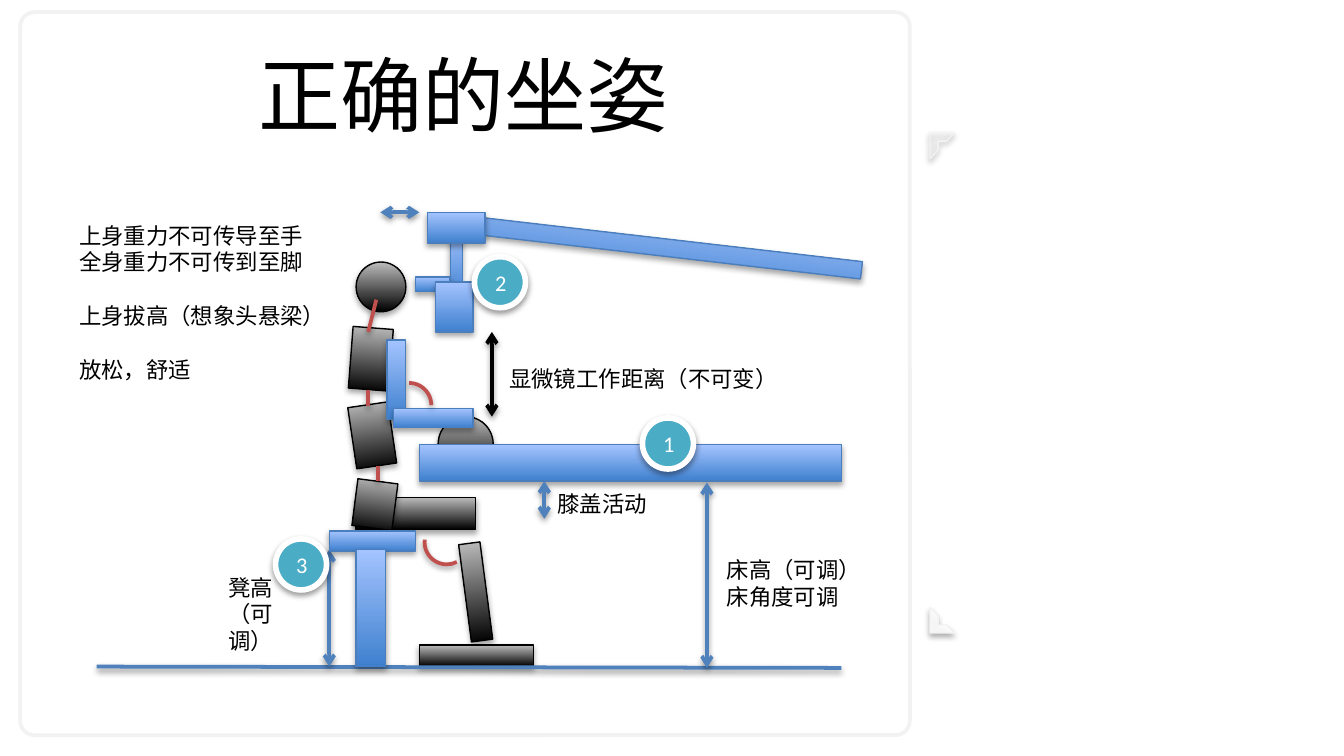
"""Build a slide that explains the correct sitting posture at an operating microscope."""
import pptx
import pptx.dml.color
import pptx.enum.dml
import pptx.enum.shapes
import pptx.enum.text
import pptx.oxml
import pptx.oxml.ns
import pptx.util
import lxml.etree

COLORS = {
    "white": "FFFFFF", "black": "000000", "frame": "F2F2F2", "badge": "4BACC6",
    "blue_low": "3F80CE", "blue_high": "A4C4FF", "blue_edge": "4B7EBC",
    "body_high": "BDBDBD", "blue": "4F81BD", "red": "C0504D",
}
GRADIENTS = {
    "equipment": ("blue_low", "blue_high", "blue_edge"),
    "body": ("black", "body_high", "black"),
}
FONT = "Calibri"
WIDTH, COLUMNS = 10, 100
HEIGHT, ROWS = WIDTH * 9 / 16, COLUMNS * 9 / 16
ARC_UNIT = 0.6

TITLE = ("正确的坐姿", (3.2, 2.3, 62.6, 9.4))
CORNERS = [((69.2, 45.2, 1.8, 1.9), 88, True), ((69.2, 9.9, 1.8, 1.9), 23, False)]

# name, geometry, style, grid box, rotation or arrows, arc angles or joined parts
SCENE = [
    ("boom", "RECTANGLE", "equipment", (35.2, 17.8, 29, 1.3), 6.6, ()),
    ("waist", "RECTANGLE", "body", (26.2, 30.1, 3, 4.6), -8.4, ()),
    ("post", "RECTANGLE", "equipment", (33.5, 17, 0.9, 5.4), 0, ()),
    ("patient head", "CHORD", "body", (32.6, 31, 4.1, 4.1), 0, (175.87, 3.95)),
    ("head", "OVAL", "body", (26.5, 19.5, 3.7, 3.7), 0, ()),
    ("chest", "RECTANGLE", "body", (26.1, 24.4, 3, 4.6), 4.4, ()),
    ("thigh", "RECTANGLE", "body", (26.5, 37, 8.9, 2.4), 0, ()),
    ("shin", "RECTANGLE", "body", (34.6, 40.4, 1.6, 7.3), -7.5, ()),
    ("foot", "RECTANGLE", "body", (31.2, 48, 8.5, 1.6), 0, ()),
    ("bed", "RECTANGLE", "equipment", (31.2, 33.1, 31.4, 2.7), 0, ()),
    ("upper arm", "RECTANGLE", "equipment", (28.8, 25.3, 1.4, 5.9), 0, ()),
    ("forearm", "RECTANGLE", "equipment", (29.3, 30.4, 5.9, 1.4), 0, ()),
    ("eyepiece", "RECTANGLE", "equipment", (30.9, 20.6, 2.6, 1.1), 0, ()),
    ("microscope", "RECTANGLE", "equipment", (32.4, 21, 2.8, 3.7), 0, ()),
    ("floor", "line", "blue", (7.2, 49.6, 62.6, 49.7), False, ()),
    ("boom joint", "RECTANGLE", "equipment", (31.8, 15.8, 4.3, 2.3), 0, ()),
    ("neck", "line", "red", (28, 22.3, 27.4, 24.7), False, ()),
    ("pelvis", "RECTANGLE", "body", (26.4, 35.8, 3, 3.5), 7.4, ()),
    ("upper spine", "line", "red", (27.4, 29, 27.4, 30.2), False, ("chest", "waist")),
    ("lower spine", "line", "red", (28.1, 34.7, 28.1, 35.8), False, ("waist", "pelvis")),
    ("elbow angle", "ARC", "red", (28.8, 28.5, 3.3, 3.3), 0, ()),
    ("working distance", "line", "black", (36.6, 24.7, 36.6, 31), True, ()),
    ("bed height", "line", "blue", (52.6, 35.9, 52.6, 49.7), True, ()),
    ("stool height", "line", "blue", (24.5, 40.9, 24.5, 49.6), True, ()),
    ("knee angle", "ARC", "red", (31.6, 38.7, 3.3, 3.3), 0, (63.05, 186.83)),
    ("eye distance", "line", "blue", (28.3, 15.8, 31.2, 15.8), True, ()),
    ("knee room", "line", "blue", (40.5, 35.8, 40.5, 38.6), True, ()),
    ("seat", "RECTANGLE", "equipment", (24.5, 39.5, 6.4, 1.5), 0, ()),
    ("stool leg", "RECTANGLE", "equipment", (26.5, 40.9, 2.2, 8.7), 0, ()),
]
# grid box, wrap, groups of lines
LABELS = [
    ((53.1, 40.9, 12.7, 5), True, [["床高（可调）", "床角度可调"]]),
    ((40.5, 36, 9.2, 3), True, [["膝盖活动"]]),
    ((16, 42.2, 7.9, 5), True, [["凳高", "（可调）"]]),
    ((36.9, 26.7, 22.2, 3), False, [["显微镜工作距离（不可变）"]]),
    ((4.9, 16, 20.5, 13.1), False,
     [["上身重力不可传导至手", "全身重力不可传到至脚"], ["上身拔高（想象头悬梁）"], ["放松，舒适"]]),
]
BADGES = [("1", 47.8, 31.1), ("2", 35.3, 19.1), ("3", 20.5, 40.1)]
BADGE_SIZE = 3.8


def color(name):
    return pptx.dml.color.RGBColor.from_string(COLORS[name])


def place(box):
    units = (WIDTH / COLUMNS, HEIGHT / ROWS) * 2
    return [pptx.util.Inches(length * unit) for length, unit in zip(box, units)]


def set_line(item, name, width):
    item.line.color.rgb = color(name)
    item.line.width = pptx.util.Pt(width)


def add_shadow(item, alpha, distance):
    properties = item._element.spPr
    for old in properties.findall(pptx.oxml.ns.qn("a:effectLst")):
        properties.remove(old)
    properties.append(pptx.oxml.parse_xml(
        f'<a:effectLst {pptx.oxml.ns.nsdecls("a")}>'
        f'<a:outerShdw blurRad="{pptx.util.Pt(3.1)}" dist="{pptx.util.Pt(distance)}" '
        f'dir="5400000" rotWithShape="0"><a:srgbClr val="{COLORS["black"]}">'
        f'<a:alpha val="{alpha * 1000}"/></a:srgbClr></a:outerShdw></a:effectLst>'))


def add_preset(slide, geometry, box, fill=None):
    kind = getattr(pptx.enum.shapes.MSO_SHAPE, geometry)
    preset = slide.shapes.add_shape(kind, *place(box))
    preset.shadow.inherit = False
    if fill:
        preset.fill.solid()
        preset.fill.fore_color.rgb = color(fill)
    return preset


def add_part(slide, geometry, style, box, rotation, angles):
    part = add_preset(slide, geometry, box)
    part.rotation = rotation
    for index, angle in enumerate(angles):
        part.adjustments[index] = angle * ARC_UNIT
    if style in GRADIENTS:
        low, high, edge = GRADIENTS[style]
        part.fill.gradient()
        part.fill.gradient_angle = 90
        for stop, name in zip(part.fill.gradient_stops, (low, high)):
            stop.color.rgb = color(name)
        set_line(part, edge, 0.75)
        add_shadow(part, 35, 1.8)
    else:
        part.fill.background()
        set_line(part, style, 2)
        add_shadow(part, 38, 1.6)
    return part


def add_line(slide, name, ends, arrows, joined):
    points = place(ends)
    line = slide.shapes.add_connector(pptx.enum.shapes.MSO_CONNECTOR.STRAIGHT, *points)
    if joined:
        line.begin_connect(joined[0], 2)
        line.end_connect(joined[1], 0)
        line.begin_x, line.begin_y, line.end_x, line.end_y = points
    set_line(line, name, 2)
    if arrows:
        for tag in ("a:headEnd", "a:tailEnd"):
            lxml.etree.SubElement(line.line._ln, pptx.oxml.ns.qn(tag), type="arrow")
    add_shadow(line, 38, 1.6)
    return line


def format_text(frame, size, name, centered=False):
    if centered:
        frame.vertical_anchor = pptx.enum.text.MSO_ANCHOR.MIDDLE
    for paragraph in frame.paragraphs:
        if centered:
            paragraph.alignment = pptx.enum.text.PP_ALIGN.CENTER
        for run in paragraph.runs:
            run.font.size = pptx.util.Pt(size)
            run.font.name = FONT
            run.font.color.rgb = color(name)


def add_label(slide, box, wrap, groups):
    frame = slide.shapes.add_textbox(*place(box)).text_frame
    frame.word_wrap = wrap
    frame.auto_size = pptx.enum.text.MSO_AUTO_SIZE.SHAPE_TO_FIT_TEXT
    frame.text = "\n".join(line for group in groups for line in group)
    first = 0
    for group in groups:
        if first:
            frame.paragraphs[first].space_before = pptx.util.Pt(14.4)
        first += len(group)
    format_text(frame, 12, "black")


def main():
    deck = pptx.Presentation()
    deck.slide_width = pptx.util.Inches(WIDTH)
    deck.slide_height = pptx.util.Inches(HEIGHT)
    slide = deck.slides.add_slide(deck.slide_layouts[6])

    card = add_preset(slide, "ROUNDED_RECTANGLE", (1.5, 0.9, 66.2, 53.8), "white")
    card.adjustments[0] = 0.02
    set_line(card, "frame", 2)
    for box, opacity, flipped in CORNERS:
        corner = add_preset(slide, "HALF_FRAME", box, "white")
        fill = corner._element.spPr.find(".//" + pptx.oxml.ns.qn("a:srgbClr"))
        lxml.etree.SubElement(fill, pptx.oxml.ns.qn("a:alpha"), val=str(opacity * 1000))
        if flipped:
            corner._element.spPr.xfrm.set("flipV", "1")
        set_line(corner, "frame", 0.75)
        add_shadow(corner, 35, 1.8)

    heading, box = TITLE
    title = slide.shapes.add_textbox(*place(box)).text_frame
    title.word_wrap = True
    title.text = heading
    format_text(title, 44, "black", centered=True)

    parts = {}
    for name, geometry, style, box, option, details in SCENE:
        if geometry == "line":
            parts[name] = add_line(slide, style, box, option, [parts[key] for key in details])
        else:
            parts[name] = add_part(slide, geometry, style, box, option, details)
    for label in LABELS:
        add_label(slide, *label)
    for number, left, top in BADGES:
        badge = add_preset(slide, "OVAL", (left, top, BADGE_SIZE, BADGE_SIZE), "badge")
        set_line(badge, "white", 3)
        add_shadow(badge, 38, 1.6)
        badge.text_frame.text = number
        format_text(badge.text_frame, 12, "white", centered=True)
    deck.save("out.pptx")


if __name__ == "__main__":
    main()
